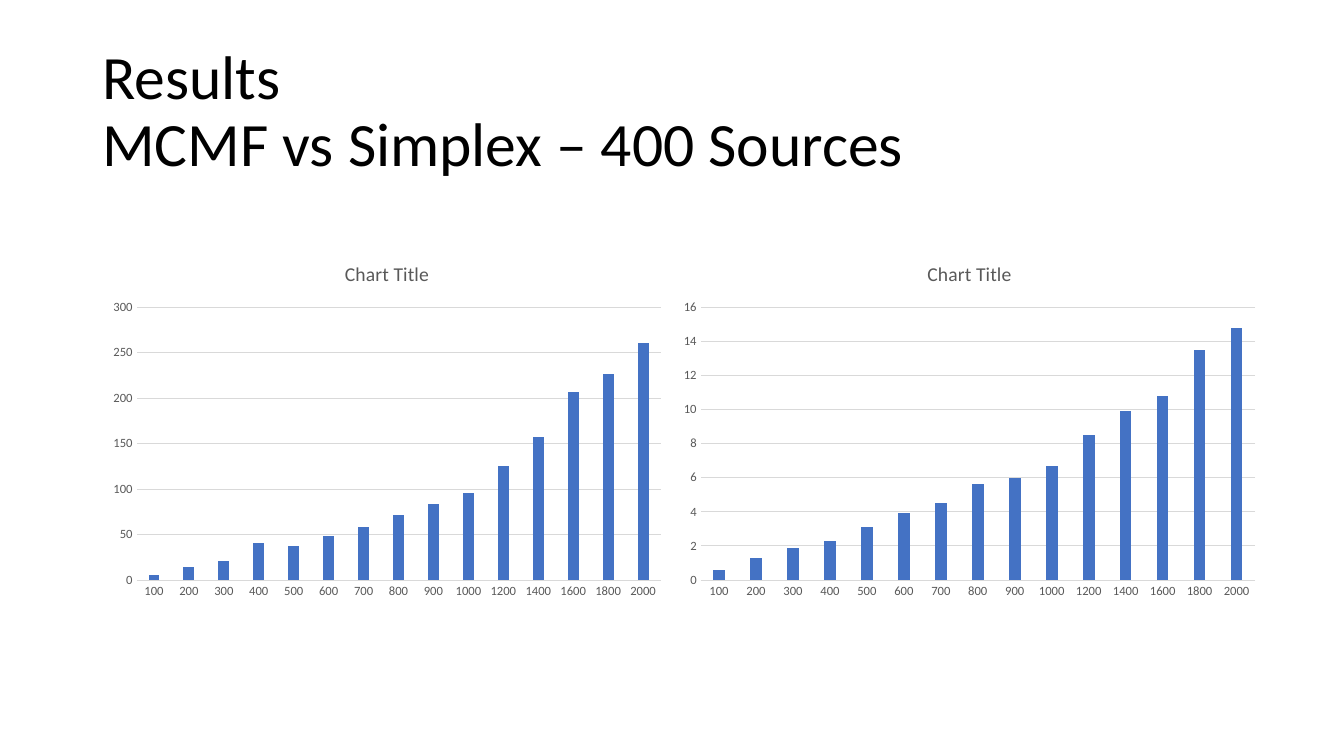
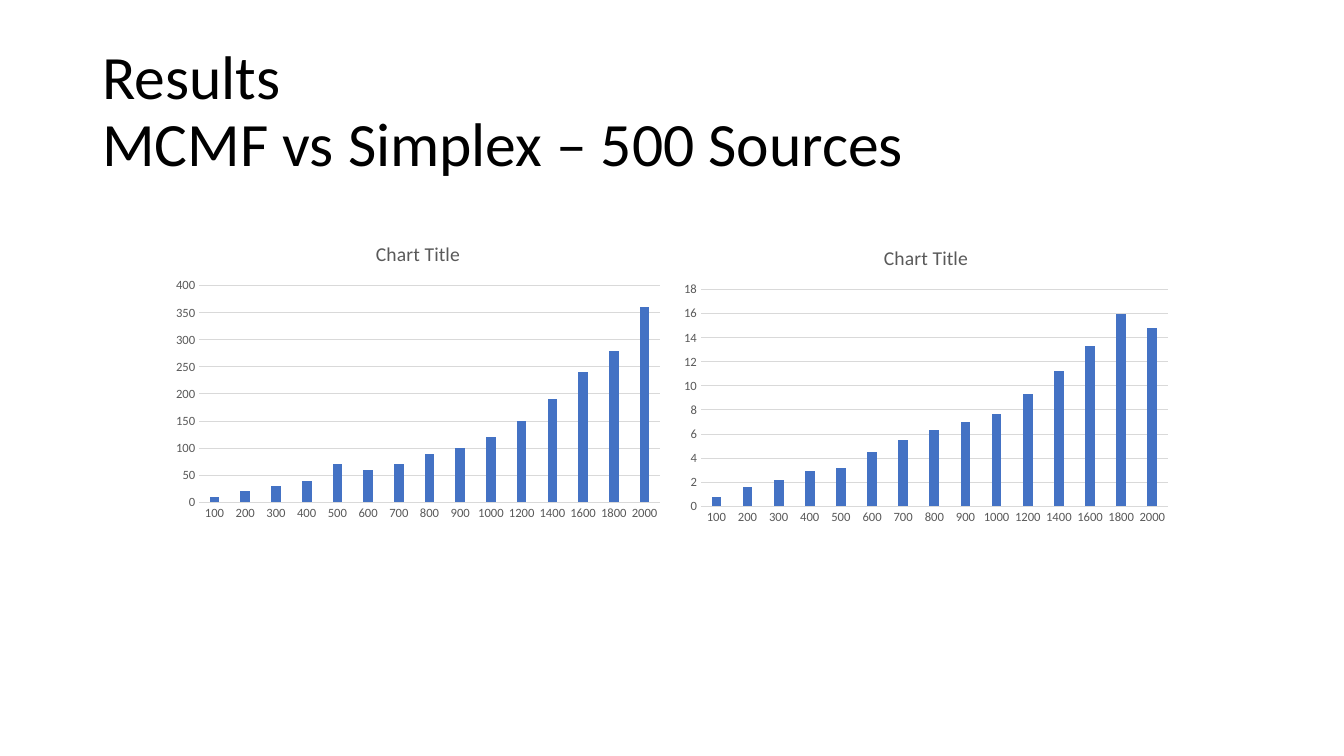
"""Build two slides comparing MCMF and Simplex results in column charts."""
from dataclasses import dataclass

from pptx import Presentation
from pptx import util as u
from pptx.chart.data import CategoryChartData
from pptx.dml.color import RGBColor
from pptx.enum import chart as charts, text

EMU_PER_PX = 12192000 / 1344
FONT = "Calibri"
BLACK, GRAY, GRID, BLUE = "000000", "595959", "D9D9D9", "4472C4"
CATEGORIES = [str(size) for size in (*range(100, 1001, 100), *range(1200, 2001, 200))]


@dataclass(frozen=True)
class Box:
    left: int
    top: int
    width: int
    height: int

    def emu(self) -> list[u.Emu]:
        return [u.Emu(round(px * EMU_PER_PX))
                for px in (self.left, self.top, self.width, self.height)]


@dataclass(frozen=True)
class ColumnChart:
    box: Box
    axis_maximum: int
    axis_step: int
    values: tuple[float, ...]


@dataclass(frozen=True)
class ResultSlide:
    sources: int
    column_charts: tuple[ColumnChart, ...]


TITLE_BOX = Box(92, 40, 1159, 146)
RESULTS = (
    ResultSlide(400, (
        ColumnChart(Box(102, 244, 570, 362), 300, 50,
                    (6, 14, 21, 41, 37, 48, 58, 71, 83, 96, 125, 157, 207, 226, 261)),
        ColumnChart(Box(672, 244, 595, 362), 16, 2,
                    (0.6, 1.3, 1.9, 2.3, 3.1, 3.9, 4.5, 5.6, 6, 6.7, 8.5, 9.9, 10.8, 13.5, 14.8)),
    )),
    ResultSlide(500, (
        ColumnChart(Box(166, 225, 504, 302), 400, 50,
                    (10, 20, 30, 40, 70, 60, 70, 90, 100, 120, 150, 190, 240, 280, 360)),
        ColumnChart(Box(674, 229, 504, 302), 18, 2,
                    (0.8, 1.6, 2.2, 2.9, 3.2, 4.5, 5.5, 6.3, 7, 7.7, 9.3, 11.2, 13.3, 16, 14.8)),
    )),
)


def color(value: str) -> RGBColor:
    return RGBColor.from_string(value)


def format_font(font, size: float, value: str) -> None:
    font.name, font.size, font.bold = FONT, u.Pt(size), False
    font.color.rgb = color(value)


def format_line(line, value: str) -> None:
    line.color.rgb = color(value)
    line.width = u.Pt(0.75)


def place_title(slide, sources: int) -> None:
    title = slide.shapes.title
    title.left, title.top, title.width, title.height = TITLE_BOX.emu()
    frame = title.text_frame
    frame.word_wrap = True
    frame.auto_size = text.MSO_AUTO_SIZE.NONE
    frame.vertical_anchor = text.MSO_ANCHOR.MIDDLE
    paragraph = frame.paragraphs[0]
    paragraph.text = "Results"
    paragraph.add_line_break()
    paragraph.add_run().text = f"MCMF vs Simplex – {sources} Sources"
    paragraph.alignment = text.PP_ALIGN.LEFT
    paragraph.line_spacing = 0.9
    for run in paragraph.runs:
        format_font(run.font, 44, BLACK)


def format_axis(axis) -> None:
    axis.major_tick_mark = axis.minor_tick_mark = charts.XL_TICK_MARK.NONE
    format_font(axis.tick_labels.font, 9, GRAY)


def add_column_chart(slide, column_chart: ColumnChart) -> None:
    data = CategoryChartData()
    data.categories = CATEGORIES
    data.add_series("Series 1", column_chart.values)
    chart = slide.shapes.add_chart(
        charts.XL_CHART_TYPE.COLUMN_CLUSTERED, *column_chart.box.emu(), data).chart
    format_font(chart.font, 10, BLACK)
    chart.has_legend = False
    chart.has_title = True
    title_frame = chart.chart_title.text_frame
    title_frame.text = "Chart Title"
    format_font(title_frame.paragraphs[0].runs[0].font, 14, GRAY)

    format_axis(chart.category_axis)
    format_line(chart.category_axis.format.line, GRID)
    value_axis = chart.value_axis
    format_axis(value_axis)
    value_axis.format.line.fill.background()
    value_axis.has_major_gridlines = True
    format_line(value_axis.major_gridlines.format.line, GRID)
    value_axis.minimum_scale = 0
    value_axis.maximum_scale = column_chart.axis_maximum
    value_axis.major_unit = column_chart.axis_step

    plot = chart.plots[0]
    plot.gap_width, plot.overlap = 219, -27
    plot.vary_by_categories = False
    fill = plot.series[0].format.fill
    fill.solid()
    fill.fore_color.rgb = color(BLUE)


def main() -> None:
    presentation = Presentation()
    presentation.slide_width = u.Emu(round(1344 * EMU_PER_PX))
    presentation.slide_height = u.Emu(round(756 * EMU_PER_PX))
    title_only = presentation.slide_layouts.get_by_name("Title Only")
    for result in RESULTS:
        slide = presentation.slides.add_slide(title_only)
        place_title(slide, result.sources)
        for column_chart in result.column_charts:
            add_column_chart(slide, column_chart)
    presentation.save("out.pptx")


if __name__ == "__main__":
    main()
